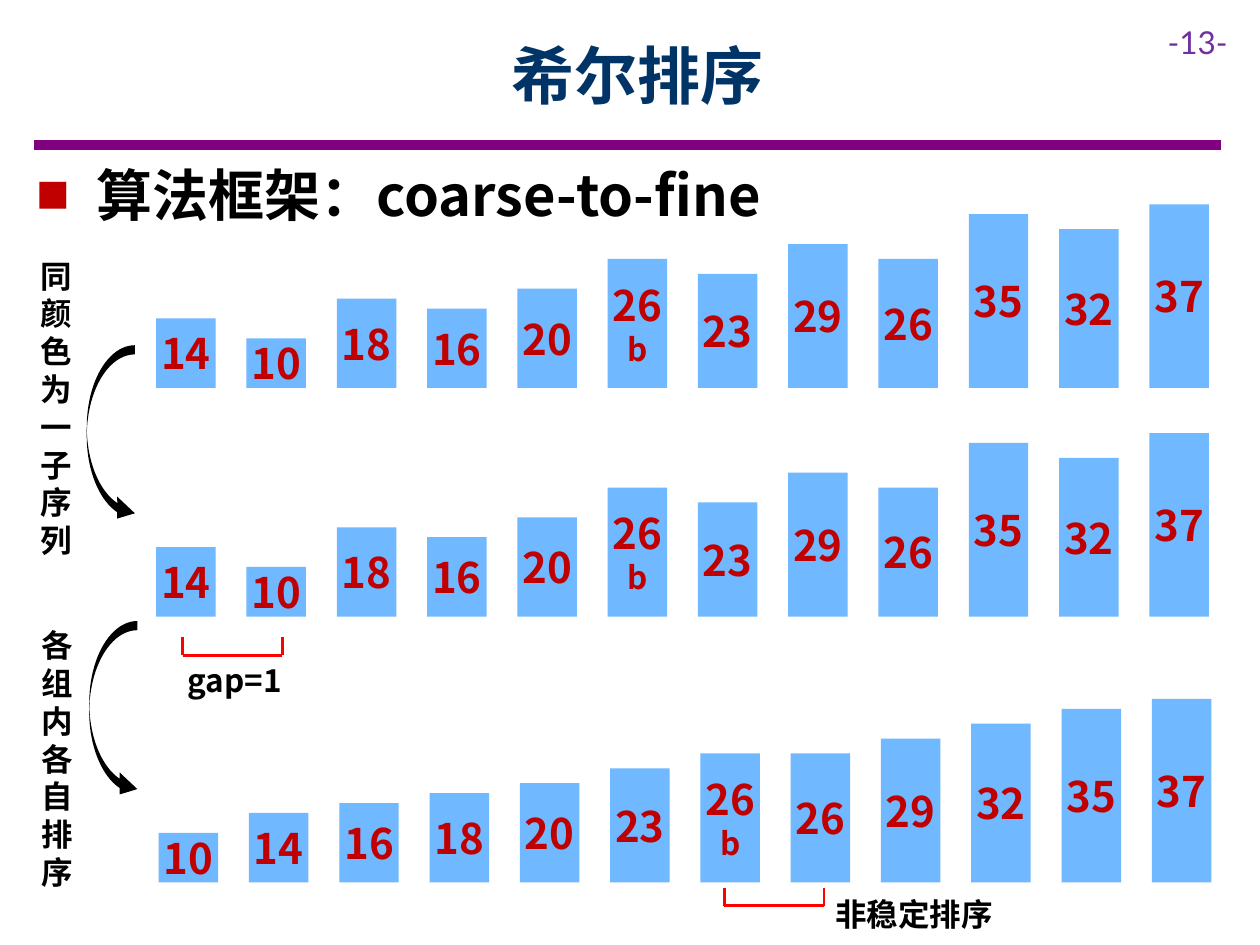
"""Builds a slide on the gap-1 pass of Shell sort."""
from lxml import etree
from pptx import Presentation
from pptx import util as u
from pptx.dml import color
from pptx.enum import shapes, text
from pptx.oxml import ns

PURPLE = color.RGBColor(0x80, 0x00, 0x80)
VIOLET = color.RGBColor(0x70, 0x30, 0xA0)
NAVY = color.RGBColor(0x00, 0x33, 0x66)
BLUE = color.RGBColor(0x70, 0xB8, 0xFF)
CRIMSON = color.RGBColor(0xC0, 0x00, 0x00)
RED = color.RGBColor(0xFF, 0x00, 0x00)
BLACK = color.RGBColor(0x00, 0x00, 0x00)

CJK = "Noto Sans CJK SC"
LATIN = "Lato"

BAR_WIDTH = 1.2
BAR_PITCH = 1.82
CM_PER_UNIT = 0.1

UNSORTED = ["14", "10", "18", "16", "20", "26b", "23", "29", "26", "35", "32", "37"]
SORTED = ["10", "14", "16", "18", "20", "23", "26b", "26", "29", "32", "35", "37"]
BAR_ROWS = [(3.15, 7.82, UNSORTED), (3.15, 12.43, UNSORTED), (3.2, 17.79, SORTED)]


def add_span(para, words, size, ink, font=CJK, bold=True):
    """Add one formatted run to a paragraph."""
    span = para.add_run()
    span.text = words
    span.font.size = u.Pt(size)
    span.font.bold = bold
    span.font.name = font
    span.font.color.rgb = ink
    east_asian = etree.SubElement(span.font._element, ns.qn("a:ea"))
    east_asian.set("typeface", font)


def place(shape, left, top, width, height):
    """Move and size a shape, in centimetres."""
    shape.left, shape.top = u.Cm(left), u.Cm(top)
    shape.width, shape.height = u.Cm(width), u.Cm(height)


def set_title(page, words):
    """Fill the title placeholder."""
    title = page.shapes.title
    place(title, 2.29, 0.23, 21.11, 2.54)
    title.text_frame.vertical_anchor = text.MSO_ANCHOR.MIDDLE
    para = title.text_frame.paragraphs[0]
    para.alignment = text.PP_ALIGN.CENTER
    add_span(para, words, 36, NAVY)


def set_body(page, words):
    """Fill the body placeholder with one square-bulleted item."""
    body = page.placeholders[1]
    place(body, 0.48, 3.1, 24.23, 1.63)
    body.text_frame.auto_size = text.MSO_AUTO_SIZE.NONE
    para = body.text_frame.paragraphs[0]
    para.space_before, para.space_after = u.Pt(0), u.Pt(6)
    para.line_spacing = u.Pt(38.4)
    add_span(para, words, 32, BLACK)
    props = para._p.get_or_add_pPr()
    props.set("marL", str(u.Cm(0.95)))
    props.set("indent", str(-u.Cm(0.95)))
    bullet_color = etree.SubElement(props, ns.qn("a:buClr"))
    etree.SubElement(bullet_color, ns.qn("a:srgbClr")).set("val", str(CRIMSON))
    etree.SubElement(props, ns.qn("a:buSzPct")).set("val", "60000")
    etree.SubElement(props, ns.qn("a:buFont")).set("typeface", CJK)
    etree.SubElement(props, ns.qn("a:buChar")).set("char", "■")


def add_label(page, words, left, top, width, height, wrap=False, **style):
    """Add a text box with one 18-point line of text."""
    box = page.shapes.add_textbox(u.Cm(left), u.Cm(top), u.Cm(width), u.Cm(height))
    box.text_frame.word_wrap = wrap
    para = box.text_frame.paragraphs[0]
    para.line_spacing = u.Pt(21.6)
    add_span(para, words, 18, **{"ink": BLACK, **style})


def add_solid(page, kind, fill, left, top, width, height):
    """Add a filled preset shape without outline or shadow."""
    solid = page.shapes.add_shape(kind, u.Cm(left), u.Cm(top), u.Cm(width), u.Cm(height))
    solid.shadow.inherit = False
    solid.fill.solid()
    solid.fill.fore_color.rgb = fill
    solid.line.fill.background()
    return solid


def add_line(page, start, end, ink, weight):
    """Add a straight line between two points."""
    line = page.shapes.add_connector(
        shapes.MSO_CONNECTOR.STRAIGHT, *(u.Cm(value) for value in (*start, *end)))
    line.line.color.rgb = ink
    line.line.width = u.Pt(weight)
    etree.SubElement(line._element.spPr, ns.qn("a:effectLst"))


def add_bar(page, label, left, base):
    """Add a bar as tall as its number, with any suffix on a second line."""
    number, suffix = label[:2], label[2:]
    height = int(number) * CM_PER_UNIT
    bar = add_solid(page, shapes.MSO_SHAPE.RECTANGLE, BLUE,
                    left, base - height, BAR_WIDTH, height)
    frame = bar.text_frame
    frame.vertical_anchor = text.MSO_ANCHOR.MIDDLE
    frame.margin_left = frame.margin_right = 0
    frame.margin_top = frame.margin_bottom = u.Cm(0.25)
    para = frame.paragraphs[0]
    para.alignment = text.PP_ALIGN.CENTER
    add_span(para, number, 24, CRIMSON)
    if suffix:
        para = frame.add_paragraph()
        para.alignment = text.PP_ALIGN.CENTER
        para.line_spacing = u.Pt(21.6)
        add_span(para, suffix, 18, CRIMSON)


def add_bracket(page, left, bottom, width=2.01, tick=0.36):
    """Add a red bracket that opens upwards."""
    right = left + width
    add_line(page, (right, bottom), (left, bottom), RED, 1.5)
    for edge in (left, right):
        add_line(page, (edge, bottom), (edge, bottom - tick), RED, 1.5)


def add_step(page, words, arrow_at, label_at):
    """Add a curved arrow with its vertical caption."""
    arrow = add_solid(page, shapes.MSO_SHAPE.CURVED_RIGHT_ARROW, BLACK, *arrow_at, 0.97, 3.61)
    for index, value in enumerate((0.191, 0.456, 0.366)):
        arrow.adjustments[index] = value
    add_label(page, words, *label_at, wrap=True)


def main():
    """Build and save the slide."""
    deck = Presentation()
    deck.slide_width, deck.slide_height = u.Cm(25.4), u.Cm(19.05)
    page = deck.slides.add_slide(deck.slide_layouts[1])

    add_line(page, (0.69, 2.92), (24.61, 2.92), PURPLE, 6)
    add_label(page, "-13-", 23.29, 0.33, 2.11, 1.02, ink=VIOLET, font=LATIN, bold=False)
    set_title(page, "希尔排序")
    set_body(page, " 算法框架：coarse-to-fine")

    add_step(page, "同颜色为一子序列", (1.75, 6.96), (0.56, 5.05, 1.32, 6.4))
    add_step(page, "各组内各自排序", (1.8, 12.52), (0.58, 12.5, 1.32, 5.64))

    for left, base, labels in BAR_ROWS:
        for column, label in enumerate(labels):
            add_bar(page, label, left + column * BAR_PITCH, base)

    add_bracket(page, 3.68, 13.21)
    add_label(page, "gap=1", 3.53, 13.21, 2.62, 1.02)
    add_bracket(page, 14.6, 18.26)
    add_label(page, "非稳定排序", 16.59, 17.91, 3.71, 1.02)

    deck.save("out.pptx")


if __name__ == "__main__":
    main()
